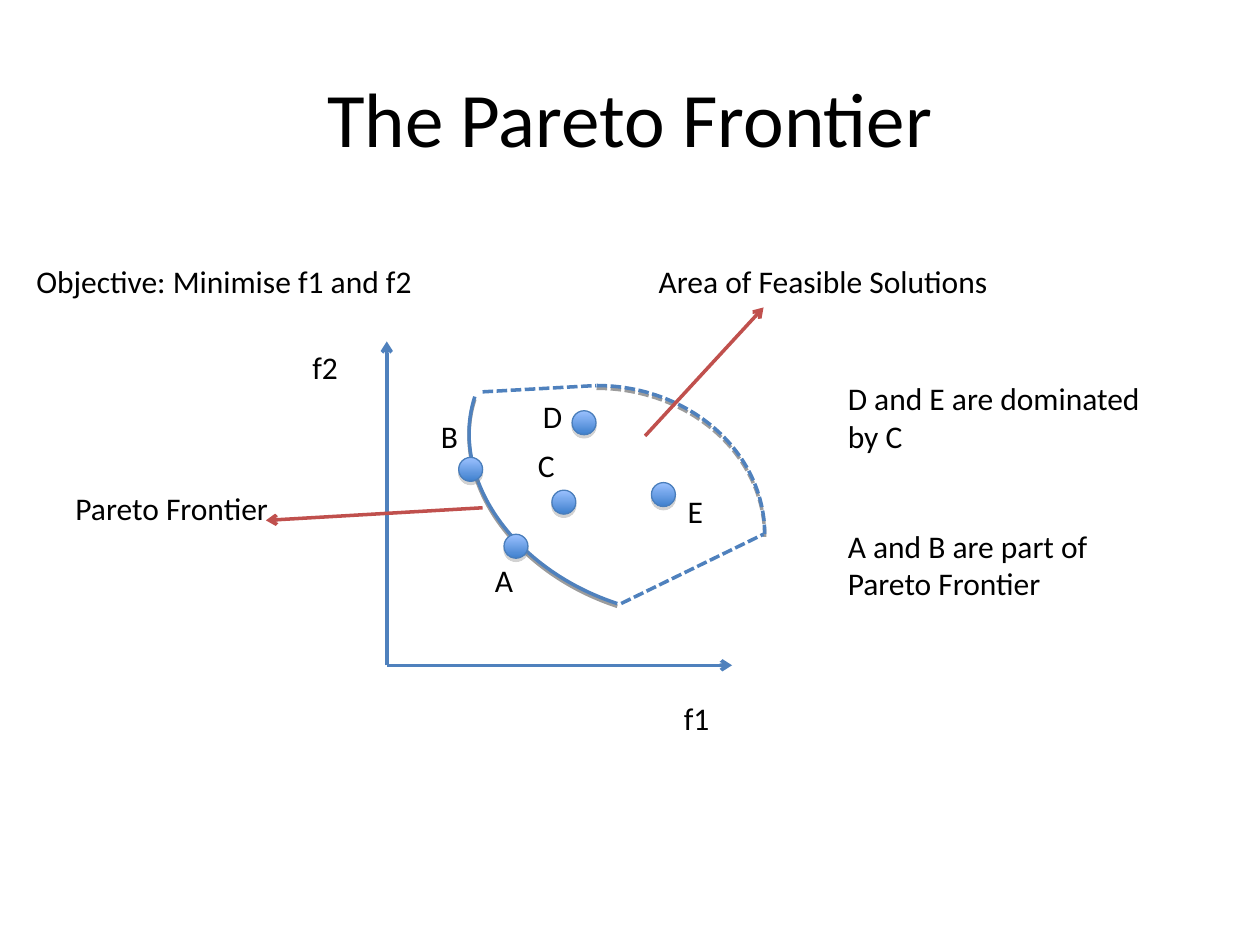
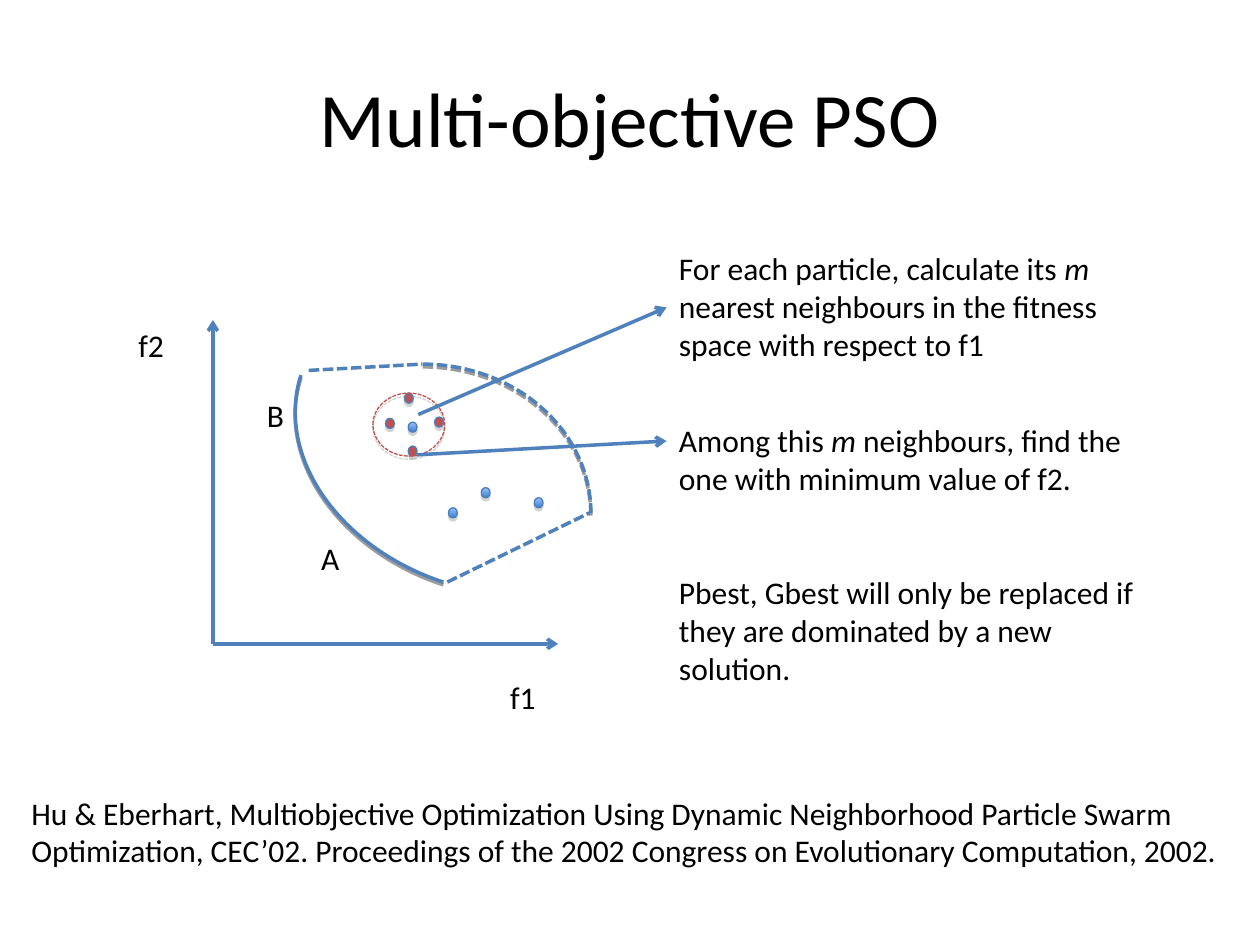
from lxml import etree
from pptx import Presentation
from pptx import util as u
from pptx.dml.color import RGBColor
from pptx.enum import dml, shapes, text
from pptx.oxml.ns import qn

# Shared style
COLORS = {"text": "000000", "line": "4F81BD", "accent": "C0504D", "dot_edge": "4A7EBB",
          "dot_top": "9BC1FF", "dot_bottom": "3F80CD", "dot_shadow": "808080",
          "arc_shadow": "000000"}
FONT = "Calibri"
LABEL_HEIGHT, LINE_HEIGHT = 0.4, 0.3
DASHED = dml.MSO_LINE.SQUARE_DOT

# Diagram shared by both slides, in inches right of and below the axes' origin
AXES = [(0, -2.57), (2.74, 0)]
EDGES = [((0.76, -2.17), (1.66, -2.22)), ((1.86, -0.49), (2.99, -1.04))]
FEASIBLE_ARC = (0.33, -2.22, 2.67, 2.36)
FRONTIER_ARC = (0.62, -2.85, 3.17, 2.42)
FRONTIER_ROTATION = 198.1
DIAGRAM_LABELS = [("f1", 2.26, 0.22, 0.9), ("f2", -0.69, -2.57, 0.49),
                  ("A", 0.76, -0.88, 0.48), ("B", 0.33, -2.02, 0.24)]

# Slide content: labels are (text, left, top, width, lines), *m* is italic;
# dots are (left, top, fill); arrows are (start, end, colour)
SLIDES = [
    {
        "title": "The Pareto Frontier",
        "origin": (3.07, 5.28),
        "dot_size": (0.19, 0.19),
        "dots": [(3.64, 3.63, "gradient"), (4, 4.24, "gradient"), (4.54, 3.26, "gradient"),
                 (5.17, 3.83, "gradient"), (4.38, 3.89, "gradient")],
        "arrows": [((5.12, 3.46), (6.06, 2.44), "accent"),
                   ((3.83, 4.03), (2.11, 4.13), "accent")],
        "labels": [
            ("Objective: Minimise f1 and f2", 0.19, 2.03, 3.2, 1),
            ("Area of Feasible Solutions", 5.13, 2.03, 3.17, 1),
            ("Pareto Frontier", 0.5, 3.83, 2.46, 1),
            ("C", 4.17, 3.49, 0.27, 1),
            ("D", 4.21, 3.1, 0.27, 1),
            ("E", 5.36, 3.86, 0.44, 1),
            ("D and E are dominated by C", 6.63, 2.96, 2.68, 2),
            ("A and B are part of Pareto Frontier", 6.63, 4.13, 2.68, 2),
        ],
    },
    {
        "title": "Multi-objective PSO",
        "origin": (1.69, 5.11),
        "dot_size": (0.07, 0.08),
        "dots": [(3.24, 3.35, "gradient"), (3.21, 3.12, "accent"), (3.45, 3.31, "accent"),
                 (3.24, 3.54, "accent"), (3.06, 3.32, "accent"), (3.82, 3.87, "gradient"),
                 (3.56, 4.03, "gradient"), (4.24, 3.95, "gradient")],
        "neighbourhood": (2.96, 3.12, 0.57, 0.5),
        "arrows": [((3.32, 3.29), (5.29, 2.44), "line"),
                   ((3.31, 3.61), (5.29, 3.5), "line")],
        "labels": [
            ("For each particle, calculate its *m* nearest neighbours in the fitness space "
             "with respect to f1", 5.29, 1.93, 3.96, 3),
            ("Among this *m* neighbours, find the one with minimum value of f2.",
             5.29, 3.29, 3.96, 2),
            ("Pbest, Gbest will only be replaced if they are dominated by a new solution.",
             5.29, 4.5, 4.08, 3),
            ("Hu & Eberhart, Multiobjective Optimization Using Dynamic Neighborhood Particle "
             "Swarm Optimization, CEC’02. Proceedings of the 2002 Congress on Evolutionary "
             "Computation, 2002.", 0.15, 6.25, 9.65, 2),
        ],
    },
]


def rgb(name):
    return RGBColor.from_string(COLORS[name])


def inches(*lengths):
    return [u.Inches(length) for length in lengths]


def style_font(paragraph, size):
    paragraph.font.name = FONT
    paragraph.font.size = u.Pt(size)
    paragraph.font.color.rgb = rgb("text")


def style_line(line, color, width, dash=None):
    line.color.rgb = rgb(color)
    line.width = u.Pt(width)
    if dash:
        line.dash_style = dash


def add_shadow(shape, color, opacity, distance):
    shape.shadow.inherit = False
    effects = shape._element.spPr.find(qn("a:effectLst"))
    shadow = etree.SubElement(effects, qn("a:outerShdw"), dist=str(u.Pt(distance)),
                              dir="5400000", rotWithShape="0")
    shade = etree.SubElement(shadow, qn("a:srgbClr"), val=COLORS[color])
    etree.SubElement(shade, qn("a:alpha"), val=str(opacity * 1000))


def add_line(slide, start, end, color="line", dash=None, arrow=False):
    connector = slide.shapes.add_connector(shapes.MSO_CONNECTOR.STRAIGHT,
                                           *inches(*start, *end))
    style_line(connector.line, color, 2, dash)
    if arrow:
        etree.SubElement(connector.line._get_or_add_ln(), qn("a:tailEnd"), type="arrow")
    etree.SubElement(connector._element.spPr, qn("a:effectLst"))


def add_arc(slide, box, rotation=0, dash=None):
    arc = slide.shapes.add_shape(shapes.MSO_SHAPE.ARC, *inches(*box))
    arc.rotation = rotation
    arc.fill.background()
    style_line(arc.line, "line", 2, dash)
    add_shadow(arc, "arc_shadow", 38, 1.6)


def add_ellipse(slide, box, fill=None, edge="dot_edge", dash=None):
    ellipse = slide.shapes.add_shape(shapes.MSO_SHAPE.OVAL, *inches(*box))
    if fill == "gradient":
        ellipse.fill.gradient()
        ellipse.fill.gradient_angle = 270
        for stop, color in zip(ellipse.fill.gradient_stops, ("dot_top", "dot_bottom")):
            stop.color.rgb = rgb(color)
    elif fill:
        ellipse.fill.solid()
        ellipse.fill.fore_color.rgb = rgb(fill)
    else:
        ellipse.fill.background()
    style_line(ellipse.line, edge, 0.75, dash)
    add_shadow(ellipse, "dot_shadow", 35, 1.8)


def add_label(slide, words, left, top, width, lines=1):
    height = LABEL_HEIGHT + (lines - 1) * LINE_HEIGHT
    frame = slide.shapes.add_textbox(*inches(left, top, width, height)).text_frame
    frame.word_wrap = True
    frame.auto_size = text.MSO_AUTO_SIZE.SHAPE_TO_FIT_TEXT
    paragraph = frame.paragraphs[0]
    for index, part in enumerate(words.split("*")):
        run = paragraph.add_run()
        run.text = part
        if index % 2:
            run.font.italic = True
    style_font(paragraph, 18)


def add_title(slide, words):
    title = slide.shapes.title
    title.left, title.top, title.width, title.height = inches(0.5, 0.3, 9, 1.25)
    title.text_frame.text = words
    title.text_frame.vertical_anchor = text.MSO_ANCHOR.MIDDLE
    paragraph = title.text_frame.paragraphs[0]
    paragraph.alignment = text.PP_ALIGN.CENTER
    style_font(paragraph, 44)


def add_diagram(slide, origin):
    def place(x, y, *size):
        return (origin[0] + x, origin[1] + y, *size)

    for tip in AXES:
        add_line(slide, origin, place(*tip), arrow=True)
    add_arc(slide, place(*FRONTIER_ARC), FRONTIER_ROTATION)
    add_arc(slide, place(*FEASIBLE_ARC), dash=DASHED)
    for start, end in EDGES:
        add_line(slide, place(*start), place(*end), dash=DASHED)
    for words, *position in DIAGRAM_LABELS:
        add_label(slide, words, *place(*position))


def build_slide(presentation, content):
    slide = presentation.slides.add_slide(presentation.slide_layouts[5])
    add_title(slide, content["title"])
    add_diagram(slide, content["origin"])
    for left, top, fill in content["dots"]:
        add_ellipse(slide, (left, top, *content["dot_size"]), fill)
    if "neighbourhood" in content:
        add_ellipse(slide, content["neighbourhood"], edge="accent", dash=DASHED)
    for start, end, color in content["arrows"]:
        add_line(slide, start, end, color, arrow=True)
    for label in content["labels"]:
        add_label(slide, *label)


def main():
    presentation = Presentation()
    presentation.slide_width, presentation.slide_height = inches(10, 7.5)
    for content in SLIDES:
        build_slide(presentation, content)
    presentation.save("out.pptx")


if __name__ == "__main__":
    main()
